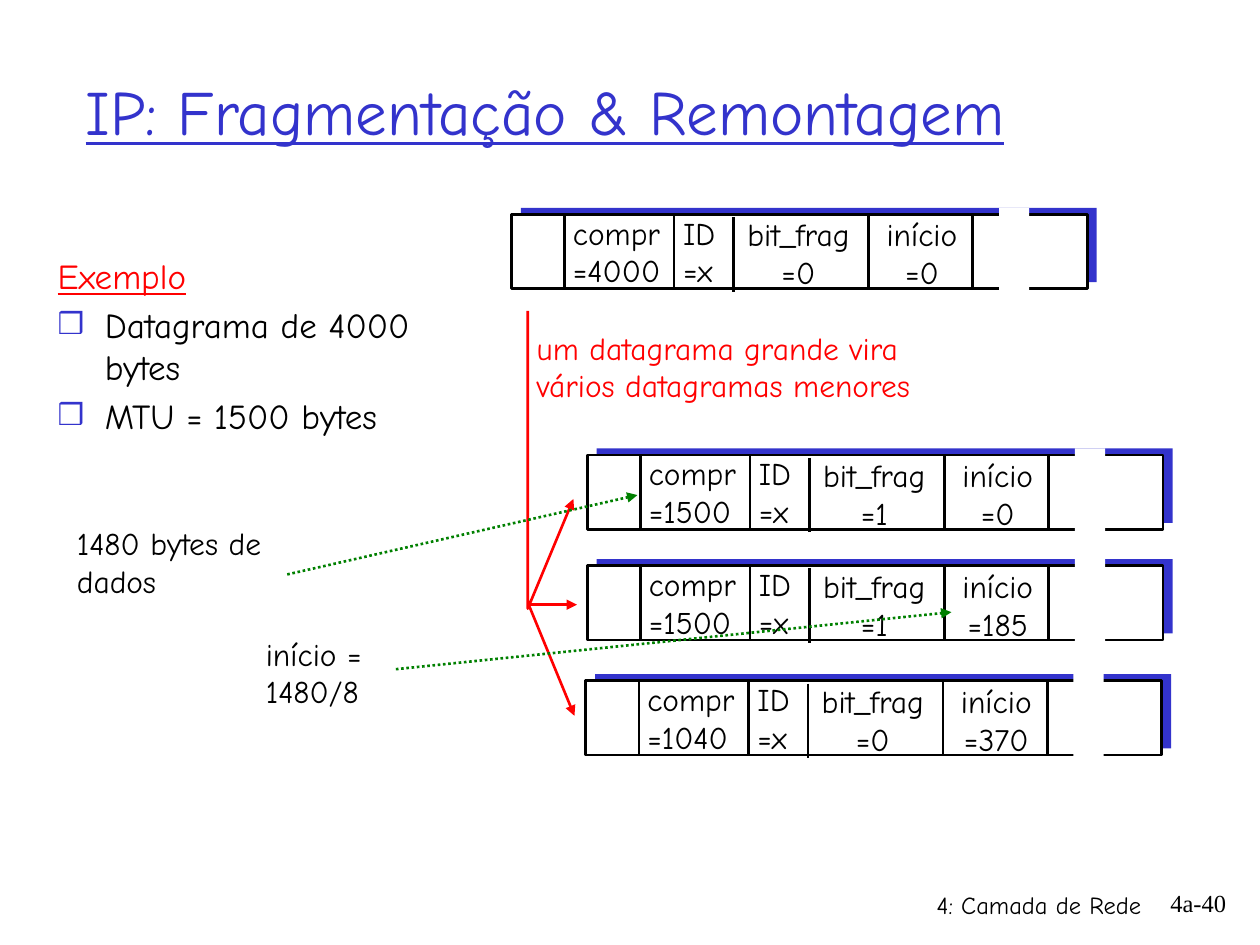
from dataclasses import dataclass

from lxml import etree
from pptx import Presentation
from pptx.dml.color import RGBColor
from pptx.enum.dml import MSO_LINE
from pptx.enum.shapes import MSO_CONNECTOR, MSO_SHAPE
from pptx.enum.text import MSO_ANCHOR, MSO_AUTO_SIZE, PP_ALIGN
from pptx.oxml.ns import qn
from pptx.util import Cm, Pt

LEFT, CENTER, RIGHT = PP_ALIGN.LEFT, PP_ALIGN.CENTER, PP_ALIGN.RIGHT
MIDDLE = MSO_ANCHOR.MIDDLE
NO_FIT, GROW = MSO_AUTO_SIZE.NONE, MSO_AUTO_SIZE.SHAPE_TO_FIT_TEXT
RECTANGLE = MSO_SHAPE.RECTANGLE
STRAIGHT = MSO_CONNECTOR.STRAIGHT
DOTTED = MSO_LINE.ROUND_DOT


@dataclass(frozen=True)
class Theme:
    font: str = "Comic Neue"
    number_font: str = "Times New Roman"
    ink: str = "000000"
    paper: str = "FFFFFF"
    accent: str = "3333CC"
    alert: str = "FF0000"
    pointer: str = "008000"
    title_size: int = 36
    body_size: int = 20
    label_size: int = 18
    footer_size: int = 14
    stroke: float = 1.5


THEME = Theme()

PACKETS = [
    (10.31, 4.32, "=4000", "=0", "=0"),
    (11.84, 9.17, "=1500", "=1", "=0"),
    (11.84, 11.4, "=1500", "=1", "=185"),
    (11.81, 13.72, "=1040", "=0", "=370"),
]
PACKET_WIDTH, PACKET_HEIGHT = 11.61, 1.5
DIVIDERS = [(1.07, 0), (3.28, 0), (4.48, 0.06), (7.2, 0), (9.3, 0)]
LABEL_HEIGHT = 1.78


def color(value):
    return RGBColor.from_string(value)


def place(shape, left, top, width, height):
    shape.left, shape.top = Cm(left), Cm(top)
    shape.width, shape.height = Cm(width), Cm(height)


def add_span(para, text, size, ink=THEME.ink, font=THEME.font, underline=False):
    span = para.add_run()
    span.text = text
    span.font.name = font
    span.font.size = Pt(size)
    span.font.color.rgb = color(ink)
    span.font.underline = underline


def add_label(shapes, left, top, width, lines, align=LEFT, ink=THEME.ink):
    box = shapes.add_textbox(Cm(left), Cm(top), Cm(width), Cm(LABEL_HEIGHT))
    frame = box.text_frame
    frame.word_wrap = False
    frame.auto_size = GROW
    for index, line in enumerate(lines):
        para = frame.add_paragraph() if index else frame.paragraphs[0]
        para.alignment = align
        add_span(para, line, THEME.label_size, ink)


def add_footer(shapes, left, top, width, text, font):
    box = shapes.add_textbox(Cm(left), Cm(top), Cm(width), Cm(1.27))
    box.text_frame.word_wrap = True
    para = box.text_frame.paragraphs[0]
    para.alignment = RIGHT
    add_span(para, text, THEME.footer_size, font=font)


def add_block(shapes, left, top, width, height, fill, outlined=False):
    block = shapes.add_shape(RECTANGLE, Cm(left), Cm(top), Cm(width), Cm(height))
    block.shadow.inherit = False
    block.fill.solid()
    block.fill.fore_color.rgb = color(fill)
    if outlined:
        style_line(block, THEME.ink)
    else:
        block.line.fill.background()


def style_line(shape, ink, arrow=False, dash=None):
    shape.line.color.rgb = color(ink)
    shape.line.width = Pt(THEME.stroke)
    if dash:
        shape.line.dash_style = dash
    if arrow:
        outline = shape._element.spPr.find(qn("a:ln"))
        etree.SubElement(outline, qn("a:tailEnd"), type="triangle")


def add_line(shapes, start, end, ink=THEME.ink, arrow=False, dash=None):
    line = shapes.add_connector(STRAIGHT, *map(Cm, start + end))
    style_line(line, ink, arrow, dash)
    etree.SubElement(line._element.spPr, qn("a:effectLst"))


def add_bent_arrow(shapes, points, ink):
    start, *rest = [(Cm(x), Cm(y)) for x, y in points]
    builder = shapes.build_freeform(*start)
    builder.add_line_segments(rest, close=False)
    arrow = builder.convert_to_shape()
    arrow.shadow.inherit = False
    arrow.fill.background()
    style_line(arrow, ink, arrow=True)


def add_packet(shapes, left, top, length, flag, offset):
    group = shapes.add_group_shape().shapes
    add_block(group, left + 0.19, top - 0.13, PACKET_WIDTH, PACKET_HEIGHT, THEME.accent)
    add_block(group, left, top, PACKET_WIDTH, PACKET_HEIGHT, THEME.paper, outlined=True)
    fields = [
        (3.21, -0.14, 1.32, ["ID", "=x"], LEFT),
        (7.26, -0.1, 2.03, ["início", offset], CENTER),
        (4.26, -0.1, 3.05, ["bit_frag", flag], CENTER),
        (0.99, -0.14, 2.35, ["compr", length], LEFT),
    ]
    for x, y, width, lines, align in fields:
        add_label(group, left + x, top + y, width, lines, align)
    for x, y in DIVIDERS:
        start = (left + x, top + y)
        add_line(group, start, (left + x, top + y + PACKET_HEIGHT))
    add_block(group, left + 9.83, top - 0.13, 0.61, 1.68, THEME.paper)


def set_bullet(para, char=None):
    props = para._p.get_or_add_pPr()
    props.set("marL", str(Cm(0.95)))
    props.set("indent", str(Cm(-0.95)))
    if char is None:
        etree.SubElement(props, qn("a:buNone"))
        return
    tint = etree.SubElement(props, qn("a:buClr"))
    etree.SubElement(tint, qn("a:srgbClr"), val=THEME.accent)
    etree.SubElement(props, qn("a:buSzPct"), val="85000")
    etree.SubElement(props, qn("a:buChar"), char=char)


def fill_title(title, text):
    place(title, 1.47, 0.64, 21.59, 3.18)
    frame = title.text_frame
    frame.auto_size = NO_FIT
    frame.vertical_anchor = MIDDLE
    para = frame.paragraphs[0]
    para.alignment = LEFT
    add_span(para, text, THEME.title_size, THEME.accent, underline=True)


def fill_example(body, heading, items):
    place(body, 0.91, 5, 7.87, 4.67)
    frame = body.text_frame
    frame.auto_size = NO_FIT
    para = frame.paragraphs[0]
    para.space_before = Pt(THEME.body_size * 0.2)
    set_bullet(para)
    add_span(para, heading, THEME.body_size, THEME.alert, underline=True)
    for item in items:
        para = frame.add_paragraph()
        para.space_before = Pt(THEME.body_size * 0.2)
        set_bullet(para, "❒")
        add_span(para, item, THEME.body_size)


def main():
    deck = Presentation()
    deck.slide_width, deck.slide_height = Cm(25.4), Cm(19.05)
    page = deck.slides.add_slide(deck.slide_layouts[1])
    shapes = page.shapes

    add_footer(shapes, 15.21, 17.81, 8.05, "4: Camada de Rede", THEME.font)
    add_footer(shapes, 22.68, 17.78, 2.29, "4a-40", THEME.number_font)
    fill_title(shapes.title, "IP: Fragmentação & Remontagem")
    fill_example(page.placeholders[1], "Exemplo",
                 ["Datagrama de 4000 bytes", "MTU = 1500 bytes"])

    for packet in PACKETS:
        add_packet(shapes, *packet)

    add_bent_arrow(shapes, [(10.64, 6.27), (10.64, 12.27), (11.56, 10.06)], THEME.alert)
    add_line(shapes, (10.64, 12.19), (11.63, 12.19), THEME.alert, arrow=True)
    add_line(shapes, (10.67, 12.22), (11.58, 14.43), THEME.alert, arrow=True)
    add_label(shapes, 10.57, 6.5, 8.53,
              ["um datagrama grande vira", "vários datagramas menores"], ink=THEME.alert)

    add_label(shapes, 1.3, 10.44, 4.72, ["1480 bytes de", "dados"])
    add_line(shapes, (5.79, 11.58), (12.85, 9.98), THEME.pointer, arrow=True, dash=DOTTED)
    add_label(shapes, 5.11, 12.67, 2.87, ["início =", "1480/8"])
    add_line(shapes, (7.98, 13.49), (19.18, 12.34), THEME.pointer, arrow=True, dash=DOTTED)

    deck.save("out.pptx")


if __name__ == "__main__":
    main()
